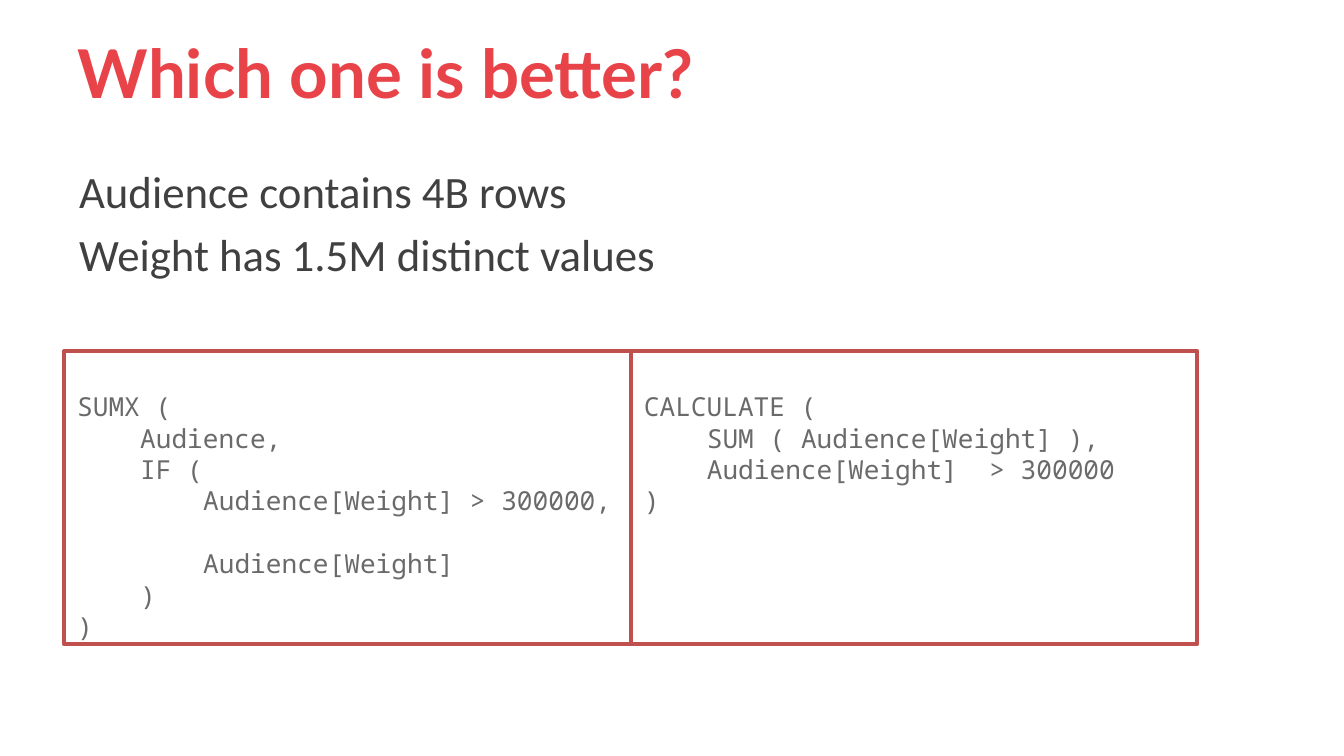
from dataclasses import dataclass
from pptx import Presentation
from pptx.dml.color import RGBColor as Rgb
from pptx.enum.shapes import MSO_SHAPE as Kind
from pptx.enum.text import MSO_ANCHOR as Anchor, MSO_AUTO_SIZE as Fit, PP_ALIGN as Align
from pptx.oxml.ns import qn
from pptx.util import Cm, Pt


@dataclass
class Theme:
    red: Rgb = Rgb.from_string("E84348")
    edge: Rgb = Rgb.from_string("C0504D")
    dark: Rgb = Rgb.from_string("404040")
    gray: Rgb = Rgb.from_string("6A6A6A")
    white: Rgb = Rgb.from_string("FFFFFF")
    head: Pt = Pt(36)
    list: Pt = Pt(24)
    code: Pt = Pt(14)
    line: Pt = Pt(16.8)


def put(item, form):
    for key, value in form.items():
        setattr(item, key, value)


def write(para, text, form, color, indent=0):
    run = para.add_run()
    run.text = text
    put(run.font, form)
    run.font.color.rgb = color
    para.alignment = Align.LEFT
    props = para._p.get_or_add_pPr()
    put_in = {"marL": str(indent), "indent": "0"}
    for key, value in put_in.items():
        props.set(key, value)
    props.get_or_add_buNone() if hasattr(props, "get_or_add_buNone") else props.append(
        props.makeelement(qn("a:buNone"), {}))


theme = Theme()
deck = Presentation()
put(deck, {"slide_width": Cm(25.4), "slide_height": Cm(14.28)})
slide = deck.slides.add_slide(deck.slide_layouts.get_by_name("Title and Content"))
title, body = slide.placeholders

put(title, {"left": Cm(1.22), "top": Cm(0.64), "width": Cm(22.86), "height": Cm(1.42)})
put(title.text_frame, {"auto_size": Fit.NONE, "vertical_anchor": Anchor.MIDDLE, "word_wrap": True})
write(title.text_frame.paragraphs[0], "Which one is better?",
      {"name": "Lato", "size": theme.head, "bold": True}, theme.red)

put(body, {"left": Cm(1.24), "top": Cm(2.97), "width": Cm(22.89), "height": Cm(2.62)})
put(body.text_frame, {"auto_size": Fit.NONE, "vertical_anchor": Anchor.TOP, "word_wrap": True})
facts = ["Audience contains 4B rows", "Weight has 1.5M distinct values"]
for i, fact in enumerate(facts):
    para = body.text_frame.add_paragraph() if i else body.text_frame.paragraphs[0]
    para.space_before = Pt(4.8 if i else 0)
    write(para, fact, {"name": "Calibri", "size": theme.list}, theme.dark)

codes = [
    [(0, 0, "SUMX ("), (1, 0, "Audience,"), (1, 0, "IF ("),
     (2, 0, "Audience[Weight] > 300000,"), (2, 1, "Audience[Weight]"),
     (1, 0, ")"), (0, 0, ")")],
    [(0, 0, "CALCULATE ("), (1, 0, "SUM ( Audience[Weight] ),"),
     (1, 0, "Audience[Weight]  > 300000"), (0, 0, ")")],
]
width, step = Cm(10.71), Cm(1.19)
for col, code in enumerate(codes):
    box = slide.shapes.add_shape(Kind.RECTANGLE, Cm(1.21) + col * width, Cm(6.63), width, Cm(5.54))
    box.shadow.inherit = False
    box.fill.solid()
    box.fill.fore_color.rgb = theme.white
    box.line.color.rgb = theme.edge
    box.line.width = Pt(2)
    frame = box.text_frame
    put(frame, {"word_wrap": True, "vertical_anchor": Anchor.TOP,
                "margin_top": Cm(0.75), "margin_right": 0, "margin_bottom": 0})
    for i, (depth, gap, text) in enumerate(code):
        para = frame.add_paragraph() if i else frame.paragraphs[0]
        put(para, {"line_spacing": theme.line, "space_before": gap * theme.line})
        write(para, text, {"name": "Noto Sans Mono", "size": theme.code}, theme.gray, depth * step)

deck.save("out.pptx")
